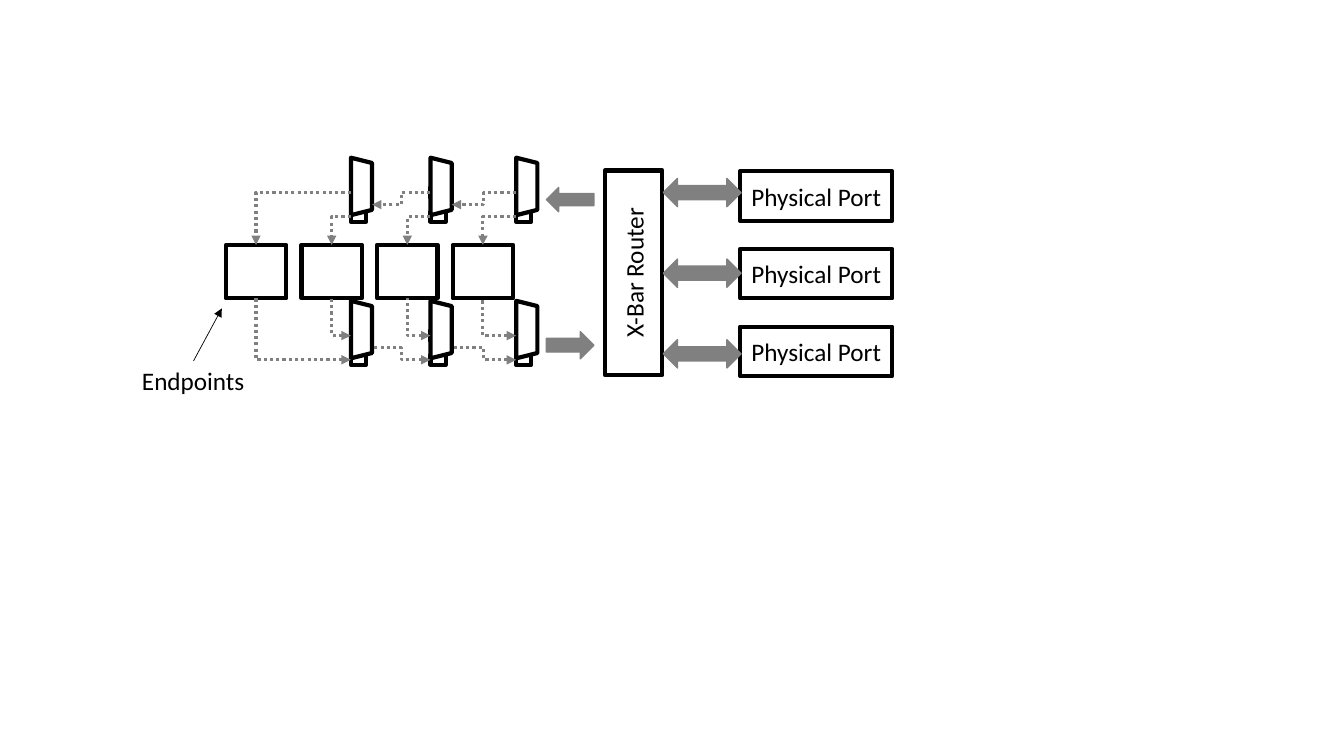
"""Builds the slide of endpoints joined through an X-Bar router to physical ports."""
from typing import NamedTuple

from pptx import Presentation
from pptx.dml.color import RGBColor
from pptx.enum.dml import MSO_LINE
from pptx.enum.shapes import MSO_CONNECTOR, MSO_SHAPE
from pptx.enum.text import MSO_ANCHOR, MSO_AUTO_SIZE, PP_ALIGN
from pptx.oxml.ns import qn
from pptx.oxml.xmlchemy import OxmlElement
from pptx.shapes.autoshape import Shape
from pptx.text.text import TextFrame
from pptx.util import Inches, Pt

BLACK = RGBColor(0x00, 0x00, 0x00)
WHITE = RGBColor(0xFF, 0xFF, 0xFF)
GRAY = RGBColor(0x80, 0x80, 0x80)

ENDPOINT_LEFTS = [2.24 + 0.75 * i for i in range(4)]
ENDPOINT_WIDTH, ENDPOINT_HEIGHT = 0.6, 0.53
ENDPOINT_TOP = 2.43
MUX_LEFTS = [3.48, 4.27, 5.12]
MUX_LENGTH, MUX_DEPTH = 0.57, 0.21
TERMINAL_WIDTH, TERMINAL_HEIGHT = 0.15, 0.1
TERMINAL_OFFSET = 0.12


class Point(NamedTuple):
    x: float
    y: float


class Box(NamedTuple):
    left: float
    top: float
    width: float
    height: float


class MuxRow(NamedTuple):
    center_y: float
    endpoint_edge: float
    outward: int
    mux_end: str
    endpoint_end: str


SPLIT_ROW = MuxRow(2.03, ENDPOINT_TOP, -1, "", "a:tailEnd")
MERGE_ROW = MuxRow(3.45, ENDPOINT_TOP + ENDPOINT_HEIGHT, 1, "a:headEnd", "")

presentation = Presentation()
presentation.slide_width, presentation.slide_height = Inches(13.33), Inches(7.5)
slide = presentation.slides.add_slide(presentation.slide_layouts[6])


def write(frame: TextFrame, text: str, align: PP_ALIGN) -> None:
    """Put one run of label text in a frame."""
    paragraph = frame.paragraphs[0]
    paragraph.alignment = align
    run = paragraph.add_run()
    run.text = text
    run.font.name, run.font.size = "Calibri", Pt(18)
    run.font.color.rgb = BLACK


def draw(kind: MSO_SHAPE, box: Box, fill: RGBColor = WHITE, line: RGBColor = BLACK,
         weight: float = 3, rotation: float = 0, text: str = "") -> Shape:
    """Draw a filled and outlined shape, with centred text if given."""
    shape = slide.shapes.add_shape(kind, *map(Inches, box))
    shape.shadow.inherit = False
    shape.rotation = rotation
    shape.fill.solid()
    shape.fill.fore_color.rgb = fill
    shape.line.color.rgb = line
    shape.line.width = Pt(weight)
    if text:
        shape.text_frame.vertical_anchor = MSO_ANCHOR.MIDDLE
        write(shape.text_frame, text, PP_ALIGN.CENTER)
    return shape


def draw_bus(kind: MSO_SHAPE, box: Box, rotation: float = 0) -> None:
    """Draw a gray block arrow."""
    draw(kind, box, GRAY, GRAY, 1, rotation)


def connect(kind: MSO_CONNECTOR, start: Point, end: Point, arrow: str,
            color: RGBColor = GRAY, weight: float = 2.25, geometry: str = "") -> None:
    """Draw a connector with one arrowhead, dotted when it is bent."""
    connector = slide.shapes.add_connector(kind, *map(Inches, (*start, *end)))
    connector.line.color.rgb = color
    connector.line.width = Pt(weight)
    if kind == MSO_CONNECTOR.ELBOW:
        connector.line.dash_style = MSO_LINE.ROUND_DOT
    properties = connector._element.spPr
    if geometry:
        properties.find(qn("a:prstGeom")).set("prst", geometry)
    head = OxmlElement(arrow)
    head.set("type", "triangle")
    properties.find(qn("a:ln")).append(head)
    properties.append(OxmlElement("a:effectLst"))


def draw_mux(left: float, center_y: float) -> None:
    """Draw a multiplexer with its two terminals."""
    for offset in (-TERMINAL_OFFSET, TERMINAL_OFFSET):
        draw(MSO_SHAPE.RECTANGLE, Box(left, center_y + offset - TERMINAL_HEIGHT / 2,
                                      TERMINAL_WIDTH, TERMINAL_HEIGHT))
    draw(MSO_SHAPE.TRAPEZOID, Box(left + (MUX_DEPTH - MUX_LENGTH) / 2, center_y - MUX_LENGTH / 2,
                                  MUX_LENGTH, MUX_DEPTH), rotation=90)


def draw_row(row: MuxRow) -> None:
    """Draw a row of multiplexers and wire it to the endpoints."""
    outer_y = row.center_y + row.outward * TERMINAL_OFFSET
    inner_y = row.center_y - row.outward * TERMINAL_OFFSET
    arrow = row.mux_end or row.endpoint_end
    for left in MUX_LEFTS:
        draw_mux(left, row.center_y)
    terminals = [Point(MUX_LEFTS[0], outer_y)] + [Point(left, inner_y) for left in MUX_LEFTS]
    for terminal, endpoint_left in zip(terminals, ENDPOINT_LEFTS):
        endpoint = Point(endpoint_left + ENDPOINT_WIDTH / 2, row.endpoint_edge)
        connect(MSO_CONNECTOR.ELBOW, terminal, endpoint, arrow, geometry="bentConnector2")
    for left, following in zip(MUX_LEFTS, MUX_LEFTS[1:]):
        connect(MSO_CONNECTOR.ELBOW, Point(following, outer_y),
                Point(left + MUX_DEPTH, row.center_y), arrow)


for endpoint_left in ENDPOINT_LEFTS:
    draw(MSO_SHAPE.RECTANGLE, Box(endpoint_left, ENDPOINT_TOP, ENDPOINT_WIDTH, ENDPOINT_HEIGHT))

draw_row(MERGE_ROW)
draw_row(SPLIT_ROW)

draw(MSO_SHAPE.RECTANGLE, Box(5.27, 2.42, 2.03, 0.57), rotation=270, text="X-Bar Router")
draw_bus(MSO_SHAPE.RIGHT_ARROW, Box(5.42, 1.86, 0.47, 0.24), rotation=180)
draw_bus(MSO_SHAPE.RIGHT_ARROW, Box(5.42, 3.29, 0.47, 0.27))

for i in range(3):
    draw(MSO_SHAPE.RECTANGLE, Box(7.34, 1.7 + 0.77 * i, 1.51, 0.49), text="Physical Port")
    draw_bus(MSO_SHAPE.LEFT_RIGHT_ARROW, Box(6.58, 1.77 + 0.8 * i, 0.77, 0.28))

endpoints_label = slide.shapes.add_textbox(*map(Inches, Box(1.31, 3.58, 1.23, 0.4))).text_frame
endpoints_label.word_wrap = False
endpoints_label.auto_size = MSO_AUTO_SIZE.SHAPE_TO_FIT_TEXT
write(endpoints_label, "Endpoints", PP_ALIGN.LEFT)
connect(MSO_CONNECTOR.STRAIGHT, Point(1.92, 3.58), Point(2.2, 3.06), "a:tailEnd", BLACK, 0.5)

presentation.save("out.pptx")
